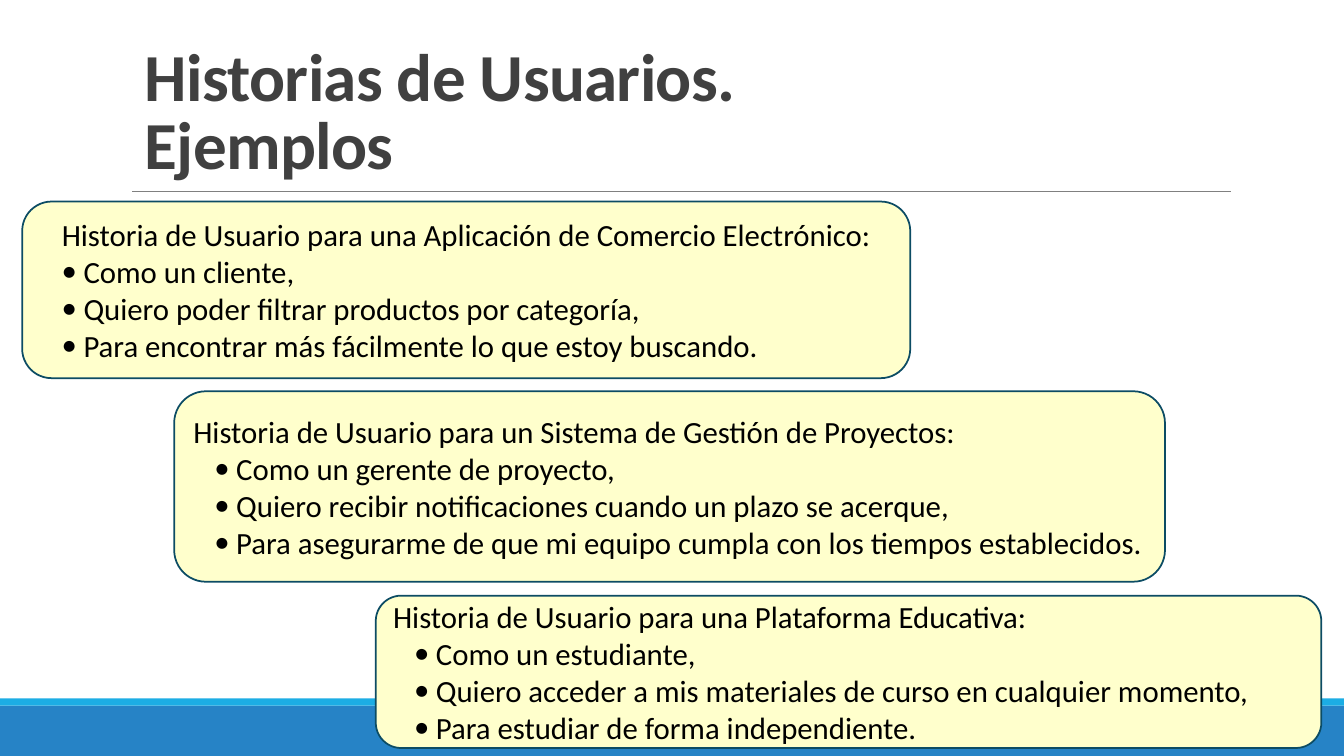
"""Build the slide with three example user stories."""
from dataclasses import dataclass

from lxml.etree import SubElement
from pptx import Presentation
from pptx.dml.color import RGBColor
from pptx.enum.shapes import MSO_CONNECTOR, MSO_SHAPE
from pptx.enum.text import MSO_ANCHOR, PP_ALIGN
from pptx.oxml.ns import qn
from pptx.util import Cm, Pt


@dataclass(frozen=True)
class Theme:
    font: str = "Calibri"
    title_size: Pt = Pt(48)
    body_size: Pt = Pt(22)
    title: RGBColor = RGBColor(0x40, 0x40, 0x40)
    body: RGBColor = RGBColor(0, 0, 0)
    rule: RGBColor = RGBColor(0x80, 0x80, 0x80)
    footer: RGBColor = RGBColor(0x26, 0x83, 0xC6)
    stripe: RGBColor = RGBColor(0x1C, 0xAD, 0xE4)
    card: RGBColor = RGBColor(0xFF, 0xFF, 0xCC)
    outline: RGBColor = RGBColor(0x0C, 0x4C, 0x64)


def add_panel(page, kind, bounds, color):
    panel = page.shapes.add_shape(kind, *map(Cm, bounds))
    panel.shadow.inherit = False
    panel.fill.solid()
    panel.fill.fore_color.rgb = color
    panel.line.fill.background()
    return panel


def style_font(font, size, color):
    font.name = theme.font
    font.size = size
    font.color.rgb = color


theme = Theme()
deck = Presentation()
deck.slide_width, deck.slide_height = Cm(33.87), Cm(19.05)
page = deck.slides.add_slide(deck.slide_layouts[6])

add_panel(page, MSO_SHAPE.RECTANGLE, (0, 17.78, 33.87, 1.27), theme.footer)
add_panel(page, MSO_SHAPE.RECTANGLE, (0, 17.6, 33.87, 0.18), theme.stripe)

rule = page.shapes.add_connector(
    MSO_CONNECTOR.STRAIGHT, Cm(3.33), Cm(4.83), Cm(31.01), Cm(4.83))
rule.line.color.rgb = theme.rule
rule.line.width = Pt(0.5)
SubElement(rule._element.spPr, qn("a:effectLst"))

title = page.shapes.add_textbox(Cm(3.4), Cm(2.41), Cm(21.59), Cm(2.34))
title.text_frame.word_wrap = True
title.text_frame.vertical_anchor = MSO_ANCHOR.BOTTOM
title.text_frame.text = "Historias de Usuarios. Ejemplos"
para = title.text_frame.paragraphs[0]
para.line_spacing = 0.85
span = para.runs[0]
style_font(span.font, theme.title_size, theme.title)
span.font.bold = True
span.font._element.set("spc", "-50")

stories = [
    ((0.56, 5.08, 22.38, 4.45), PP_ALIGN.CENTER,
     "Historia de Usuario para una Aplicación de Comercio Electrónico:",
     ["Como un cliente,",
      "Quiero poder filtrar productos por categoría,",
      "Para encontrar más fácilmente lo que estoy buscando."]),
    ((4.39, 9.86, 24.97, 4.8), PP_ALIGN.LEFT,
     "Historia de Usuario para un Sistema de Gestión de Proyectos:",
     ["Como un gerente de proyecto,",
      "Quiero recibir notificaciones cuando un plazo se acerque,",
      "Para asegurarme de que mi equipo cumpla con los tiempos establecidos."]),
    ((9.47, 15.01, 23.83, 3.84), PP_ALIGN.LEFT,
     "Historia de Usuario para una Plataforma Educativa:",
     ["Como un estudiante,",
      "Quiero acceder a mis materiales de curso en cualquier momento,",
      "Para estudiar de forma independiente."]),
]

for bounds, heading_alignment, heading, points in stories:
    card = add_panel(page, MSO_SHAPE.ROUNDED_RECTANGLE, bounds, theme.card)
    card.line.color.rgb = theme.outline
    card.line.width = Pt(1.25)
    frame = card.text_frame
    frame.word_wrap = True
    frame.vertical_anchor = MSO_ANCHOR.MIDDLE
    frame.text = "\n".join([heading, *points])
    for index, para in enumerate(frame.paragraphs):
        para.alignment = PP_ALIGN.LEFT if index else heading_alignment
        if index:
            properties = para._p.get_or_add_pPr()
            properties.set("marL", str(Cm(1.08)))
            properties.set("indent", str(Cm(-0.55)))
            SubElement(properties, qn("a:buFont"), typeface=theme.font)
            SubElement(properties, qn("a:buChar"), char="•")
        style_font(para.runs[0].font, theme.body_size, theme.body)

deck.save("out.pptx")
